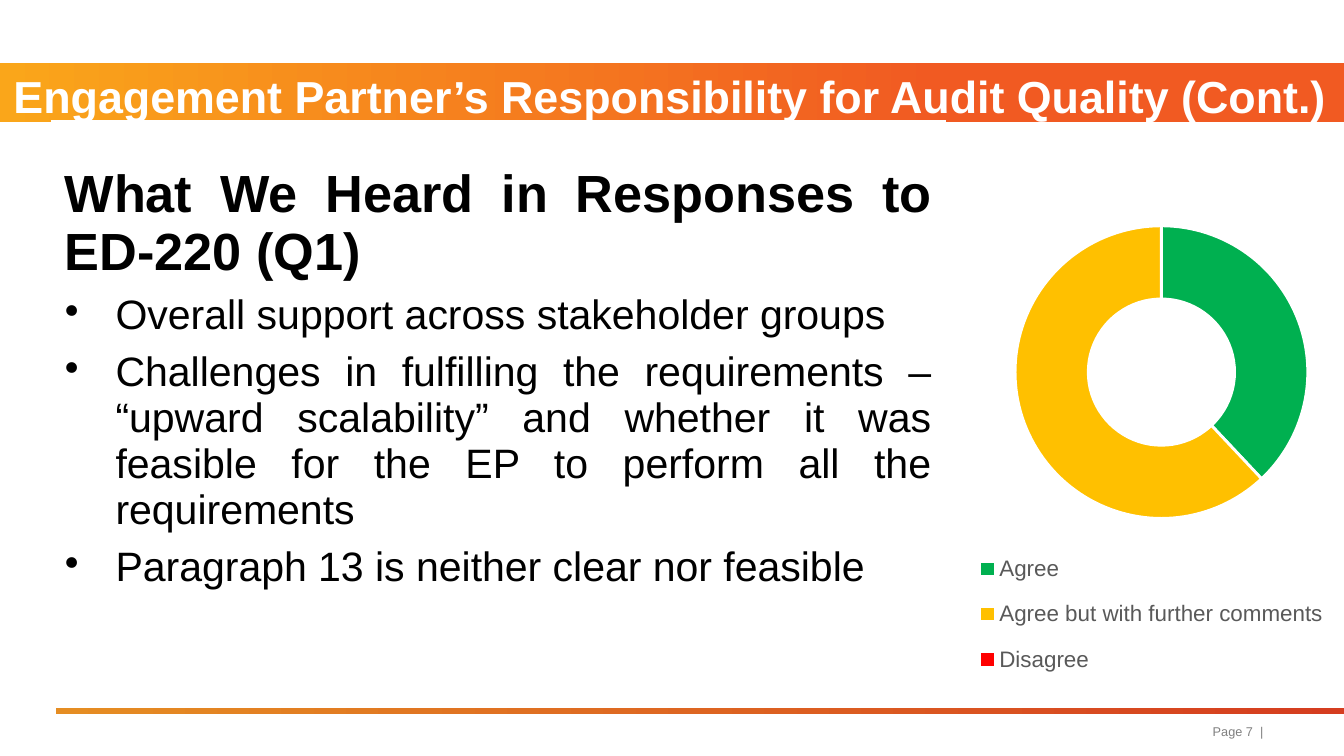
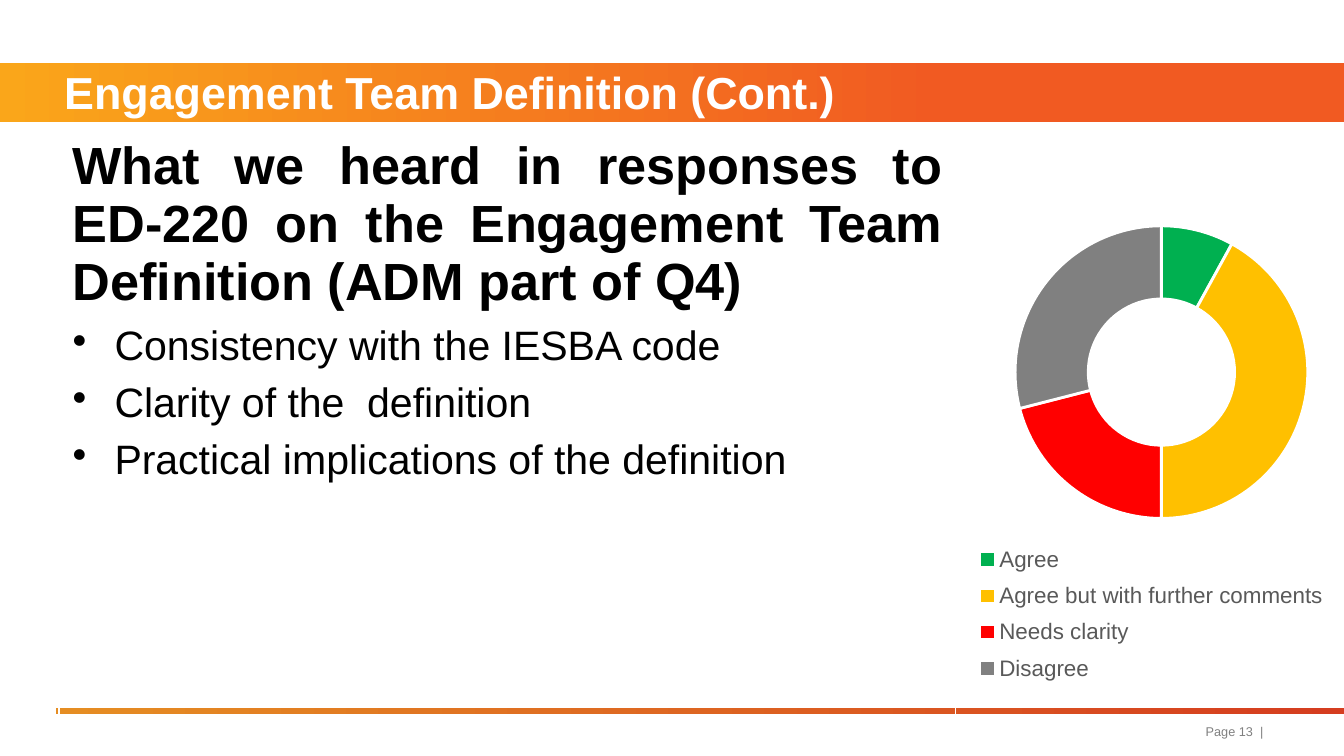
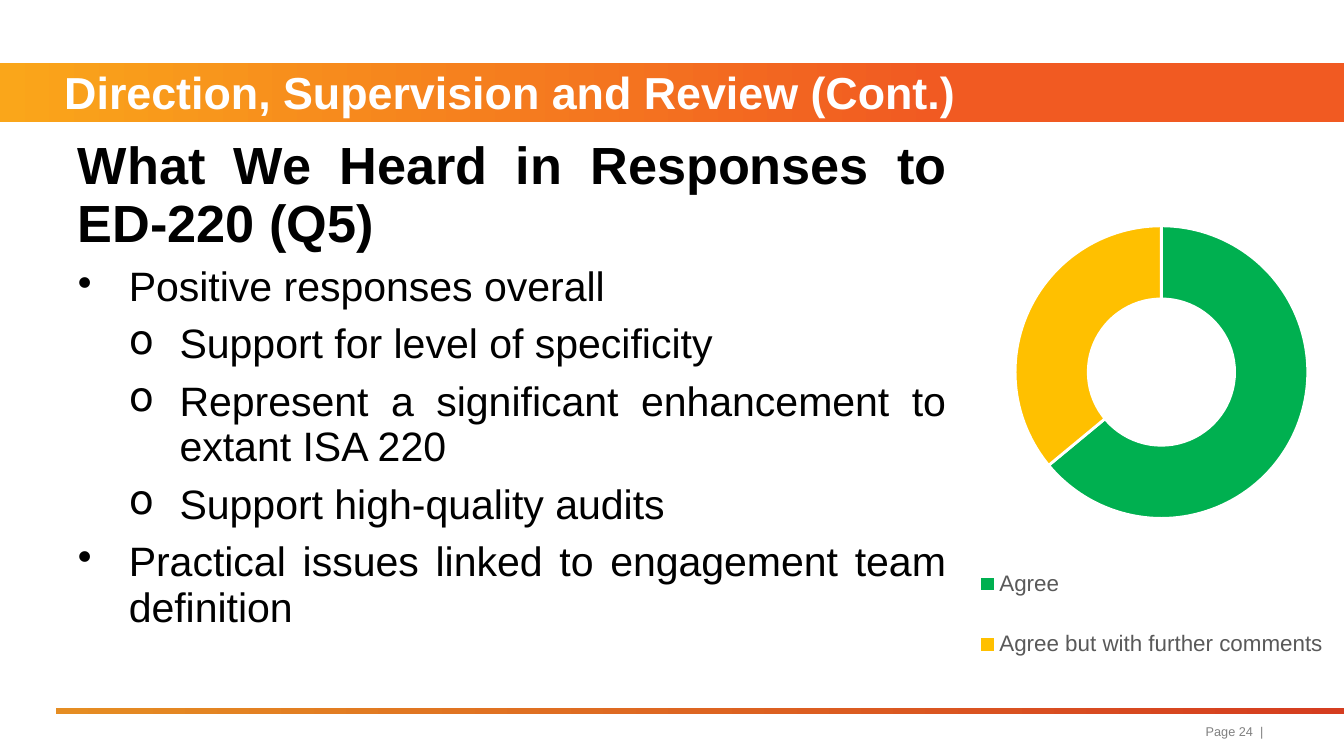
import pptx
import pptx.chart.data
import pptx.dml.color
import pptx.enum.chart
import pptx.enum.shapes
import pptx.enum.text
import pptx.oxml.ns
import pptx.util
from lxml import etree

Cm, Pt = pptx.util.Cm, pptx.util.Pt
ALIGN = pptx.enum.text.PP_ALIGN
ANCHOR = pptx.enum.text.MSO_ANCHOR
qn = pptx.oxml.ns.qn

FONT = "Arial"
COLORS = {
    "white": "FFFFFF", "black": "000000", "page": "808080", "legend": "595959",
    "amber": "FAA61A", "orange": "F15A22", "gold": "E58D23", "rust": "D53D20",
    "green": "00B050", "yellow": "FFC000", "red": "FF0000", "gray": "808080",
}
BULLETS = "•o"
WIDTH, HEIGHT = Cm(25.4), Cm(14.29)

SLIDES = [
    {
        "title": "Engagement Partner’s Responsibility for Audit Quality (Cont.)",
        "top": 1.09, "indent": 0, "spacing": None, "page": 7,
        "box": (0.97, 2.29, 16.89, 9.7), "anchor": ANCHOR.MIDDLE, "step": 0.96,
        "head": "What We Heard in Responses to ED-220 (Q1)",
        "points": [
            (0, "Overall support across stakeholder groups"),
            (0, "Challenges in fulfilling the requirements ‒ “upward scalability” "
                "and whether it was feasible for the EP to perform all the requirements"),
            (0, "Paragraph 13 is neither clear nor feasible"),
        ],
        "votes": [("Agree", 38, "green"),
                  ("Agree but with further comments", 62, "yellow"),
                  ("Disagree", 0, "red")],
    },
    {
        "title": "Engagement Team Definition (Cont.)",
        "top": 1.19, "indent": 0.96, "spacing": Pt(24), "page": 13,
        "box": (1.12, 2.46, 16.94, 11.1), "anchor": ANCHOR.TOP, "step": 0.79,
        "head": "What we heard in responses to ED-220 on the Engagement Team "
                "Definition (ADM part of Q4)",
        "points": [
            (0, "Consistency with the IESBA code"),
            (0, "Clarity of the  definition"),
            (0, "Practical implications of the definition"),
        ],
        "votes": [("Agree", 8, "green"),
                  ("Agree but with further comments", 42, "yellow"),
                  ("Needs clarity", 21, "red"),
                  ("Disagree", 29, "gray")],
    },
    {
        "title": "Direction, Supervision and Review (Cont.)",
        "top": 1.19, "indent": 0.96, "spacing": Pt(24), "page": 24,
        "box": (1.22, 2.46, 16.92, 10.64), "anchor": ANCHOR.TOP, "step": 0.96,
        "head": "What We Heard in Responses to ED-220 (Q5)",
        "points": [
            (0, "Positive responses overall"),
            (1, "Support for level of specificity"),
            (1, "Represent a significant enhancement to extant ISA 220"),
            (1, "Support high-quality audits"),
            (0, "Practical issues linked to engagement team definition"),
        ],
        "votes": [("Agree", 64, "green"),
                  ("Agree but with further comments", 36, "yellow")],
    },
]


def rgb(name):
    return pptx.dml.color.RGBColor.from_string(COLORS[name])


def style(font, size, color, bold=False):
    font.name, font.size, font.bold = FONT, Pt(size), bold
    font.color.rgb = rgb(color)


def add_bar(slide, layout, box, colors, end):
    """Draw a gradient bar and hand it over to the layout, behind its text."""
    bar = slide.shapes.add_shape(pptx.enum.shapes.MSO_SHAPE.RECTANGLE, *box)
    bar.shadow.inherit = False
    bar.line.fill.background()
    bar.fill.gradient()
    bar.fill.gradient_angle = 0
    for stop, color, place in zip(bar.fill.gradient_stops, colors, (0, end)):
        stop.color.rgb = rgb(color)
        stop.position = place
    layout.shapes.element.insert(2, bar.element)


def add_title(slide, data):
    title = slide.shapes.title
    title.left, title.top = 0, Cm(data["top"])
    title.width, title.height = WIDTH, Cm(1.12)
    frame = title.text_frame
    frame.text = data["title"]
    frame.auto_size = pptx.enum.text.MSO_AUTO_SIZE.NONE
    frame.vertical_anchor = ANCHOR.TOP
    frame.margin_top = Cm(0.2)
    para = frame.paragraphs[0]
    para.alignment = ALIGN.LEFT
    if data["spacing"]:
        para.line_spacing = data["spacing"]
    para._p.get_or_add_pPr().set("marL", str(Cm(data["indent"])))
    style(para.runs[0].font, 24, "white", True)


def add_edges(cell):
    props = cell._tc.get_or_add_tcPr()
    for index, (side, width) in enumerate(zip("LRTB", (1, 1, 1, 3))):
        line = etree.Element(qn(f"a:ln{side}"), w=str(Pt(width)))
        fill = etree.SubElement(line, qn("a:solidFill"))
        etree.SubElement(fill, qn("a:srgbClr"), val=COLORS["white"])
        props.insert(index, line)


def add_points(slide, data):
    table = slide.shapes.add_table(1, 1, *map(Cm, data["box"])).table
    table.first_row = table.horz_banding = False
    cell = table.cell(0, 0)
    cell.fill.background()
    add_edges(cell)
    cell.vertical_anchor = data["anchor"]
    frame = cell.text_frame
    frame.text = "\n".join([data["head"]] + [text for _, text in data["points"]])
    for para in frame.paragraphs:
        para.alignment = ALIGN.JUSTIFY
        para.space_after = Pt(6)
    style(frame.paragraphs[0].runs[0].font, 28, "black", True)
    for para, (level, _) in zip(frame.paragraphs[1:], data["points"]):
        props = para._p.get_or_add_pPr()
        props.set("marL", str(Cm(data["step"] * (level + 1))))
        props.set("indent", str(-Cm(data["step"])))
        etree.SubElement(props, qn("a:buChar"), char=BULLETS[level])
        style(para.runs[0].font, 22, "black")


def add_page(slide, number):
    box = slide.shapes.add_textbox(Cm(16.46), Cm(13.56), Cm(7.67), Cm(0.64))
    frame = box.text_frame
    frame.word_wrap = True
    frame.text = f"Page {number}  |"
    frame.paragraphs[0].alignment = ALIGN.RIGHT
    style(frame.paragraphs[0].runs[0].font, 6.8, "page")


def set_place(part, index, box, inner=False):
    """Fix a chart part at x, y, w, h, given as shares of the chart."""
    old = part.find(qn("c:layout"))
    if old is not None:
        part.remove(old)
    layout = etree.Element(qn("c:layout"))
    manual = etree.SubElement(layout, qn("c:manualLayout"))
    pairs = [("layoutTarget", "inner")] if inner else []
    pairs += [("xMode", "edge"), ("yMode", "edge")] + list(zip("xywh", box))
    for tag, value in pairs:
        etree.SubElement(manual, qn(f"c:{tag}"), val=str(value))
    part.insert(index, layout)


def add_ring(slide, votes):
    names, values, colors = zip(*votes)
    data = pptx.chart.data.CategoryChartData()
    data.categories = names
    data.add_series("Series 1", values)
    chart = slide.shapes.add_chart(
        pptx.enum.chart.XL_CHART_TYPE.DOUGHNUT,
        Cm(18.14), Cm(2.46), Cm(7.26), Cm(10.64), data).chart
    style(chart.font, 12, "black")
    chart.has_title = False
    chart.has_legend = True
    legend = chart.legend
    legend.position = pptx.enum.chart.XL_LEGEND_POSITION.BOTTOM
    legend.include_in_layout = False
    style(legend.font, 12, "legend")
    plot = chart.plots[0]
    plot.vary_by_categories = True
    for index, color in enumerate(colors):
        form = plot.series[0].points[index].format
        form.fill.solid()
        form.fill.fore_color.rgb = rgb(color)
        form.line.color.rgb = rgb("white")
        form.line.width = Pt(1.5)
    root = chart.element
    root.find(".//" + qn("c:holeSize")).set("val", "75")
    set_place(root.find(".//" + qn("c:plotArea")), 0, (0.14, 0.17, 0.77, 0.52), True)
    set_place(root.find(".//" + qn("c:legend")), 1, (0.02, 0.72, 0.96, 0.28))


def main():
    deck = pptx.Presentation()
    deck.slide_width, deck.slide_height = WIDTH, HEIGHT
    layout = deck.slide_layouts[5]
    for index, data in enumerate(SLIDES):
        slide = deck.slides.add_slide(layout)
        if index == 0:
            add_bar(slide, layout, (0, Cm(1.19), WIDTH, Cm(1.12)),
                    ("amber", "orange"), 0.7)
            add_bar(slide, layout, (Cm(1.06), Cm(13.39), WIDTH - Cm(1.06), Cm(0.1)),
                    ("gold", "rust"), 1)
        add_points(slide, data)
        add_title(slide, data)
        add_page(slide, data["page"])
        add_ring(slide, data["votes"])
    deck.save("out.pptx")


if __name__ == "__main__":
    main()
